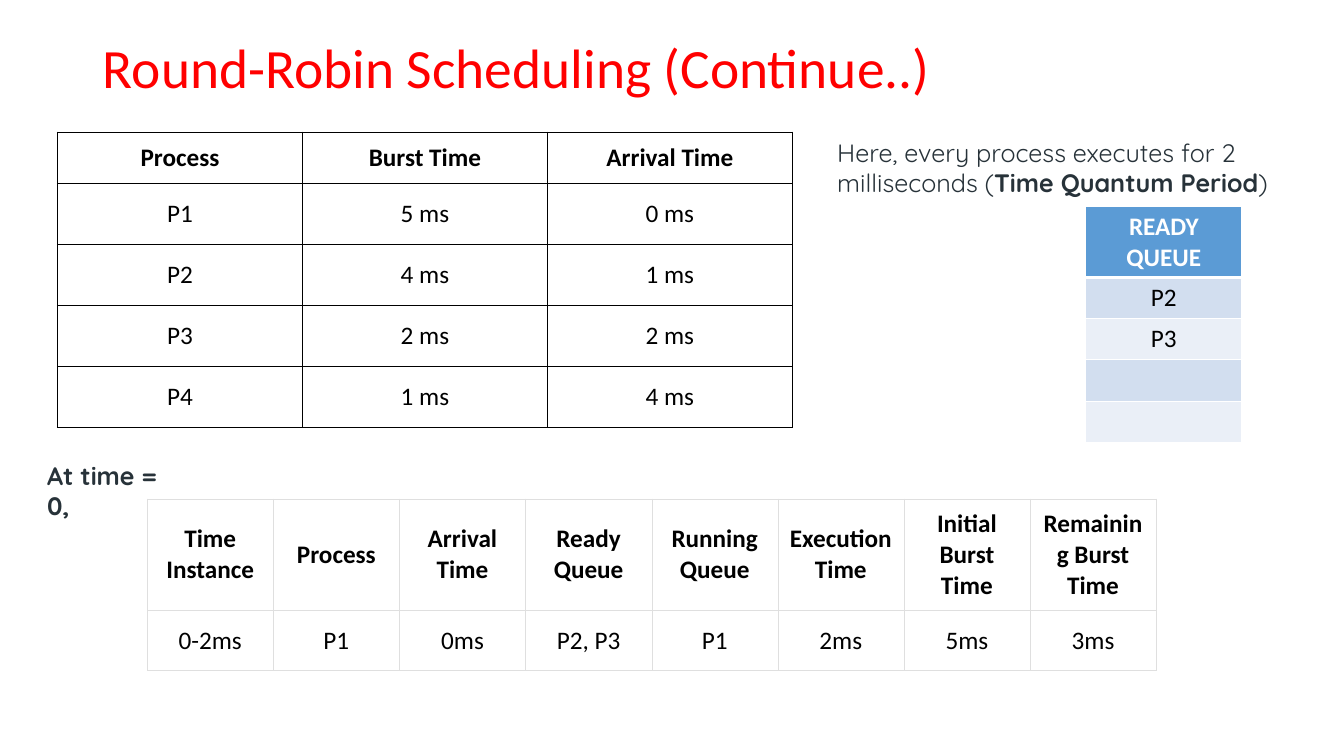
import pptx
import pptx.dml.color
import pptx.enum.text
import pptx.oxml.ns
import pptx.util
from lxml import etree

Cm = pptx.util.Cm
Pt = pptx.util.Pt
RGBColor = pptx.dml.color.RGBColor
PP_ALIGN = pptx.enum.text.PP_ALIGN
MSO_ANCHOR = pptx.enum.text.MSO_ANCHOR
MSO_AUTO_SIZE = pptx.enum.text.MSO_AUTO_SIZE

RED = RGBColor(0xFF, 0x00, 0x00)
BLACK = RGBColor(0x00, 0x00, 0x00)
WHITE = RGBColor(0xFF, 0xFF, 0xFF)
SLATE = RGBColor(0x27, 0x32, 0x39)
GREY = RGBColor(0xDF, 0xDF, 0xDF)
BLUE = RGBColor(0x5B, 0x9B, 0xD5)
BANDS = [RGBColor(0xD2, 0xDE, 0xEF), RGBColor(0xEA, 0xEF, 0xF7)]

TABLE_FONT = {"name": "Calibri", "size": Pt(18)}
NOTE_FONT = {"name": "Quicksand", "size": Pt(18)}

PROCESSES = [
    ["Process", "Burst Time", "Arrival Time"],
    ["P1", "5 ms", "0 ms"],
    ["P2", "4 ms", "1 ms"],
    ["P3", "2 ms", "2 ms"],
    ["P4", "1 ms", "4 ms"],
]
TIMELINE = [
    ["Time Instance", "Process", "Arrival Time", "Ready Queue",
     "Running Queue", "Execution Time", "Initial Burst Time",
     "Remaining Burst Time"],
    ["0-2ms", "P1", "0ms", "P2, P3", "P1", "2ms", "5ms", "3ms"],
]
READY_QUEUE = [["READY QUEUE"], ["P2"], ["P3"], [""], [""]]


def apply_format(target, values):
    for name, value in values.items():
        setattr(target, name, value)


def format_font(font, color, values):
    apply_format(font, values)
    font.color.rgb = color


def set_borders(cell, color, widths):
    """Draw the cell's sides; widths maps L, R, T and B to points."""
    properties = cell._tc.get_or_add_tcPr()
    for side, points in widths.items():
        line = etree.SubElement(properties, pptx.oxml.ns.qn(f"a:ln{side}"),
                                w=str(Pt(points)))
        fill = etree.SubElement(line, pptx.oxml.ns.qn("a:solidFill"))
        etree.SubElement(fill, pptx.oxml.ns.qn("a:srgbClr"), val=str(color))


def format_cell(cell, text, fill, color, bold, values):
    apply_format(cell, values)
    cell.fill.solid()
    cell.fill.fore_color.rgb = fill
    paragraph = cell.text_frame.paragraphs[0]
    paragraph.alignment = PP_ALIGN.CENTER
    if text:
        run = paragraph.add_run()
        run.text = text
        format_font(run.font, color, {**TABLE_FONT, "bold": bold})


def add_table(slide, rows, left, top, width, heights):
    shape = slide.shapes.add_table(len(rows), len(rows[0]), left, top,
                                   width, sum(heights))
    for row, height in zip(shape.table.rows, heights):
        row.height = height
    return shape.table


def add_plain_table(slide, rows, left, top, width, heights, color, points):
    """White table with a ruled grid and a bold header row."""
    table = add_table(slide, rows, left, top, width, heights)
    for i, texts in enumerate(rows):
        margin = Cm(0.25) if i == 0 else Cm(0.38)
        for j, text in enumerate(texts):
            side = Cm(0.1) if i == j == 0 else Cm(0.25)
            cell = table.cell(i, j)
            set_borders(cell, color, dict.fromkeys("LRTB", points))
            format_cell(cell, text, WHITE, BLACK, i == 0, {
                "vertical_anchor": MSO_ANCHOR.MIDDLE,
                "margin_left": side, "margin_right": side,
                "margin_top": margin, "margin_bottom": margin})


def add_queue_table(slide, rows, left, top, width, heights):
    """Banded one-column table with a thick rule below the header."""
    table = add_table(slide, rows, left, top, width, heights)
    for i, (text,) in enumerate(rows):
        header = i == 0
        cell = table.cell(i, 0)
        set_borders(cell, WHITE, {"L": 1, "R": 1, "T": 3 if i == 1 else 1,
                                  "B": 3 if header else 1})
        format_cell(cell, text, BLUE if header else BANDS[(i - 1) % 2],
                    WHITE if header else BLACK, header, {})


def add_note(slide, left, top, width, height, runs):
    """Text box whose runs are (text, bold) pairs."""
    text_frame = slide.shapes.add_textbox(left, top, width, height).text_frame
    text_frame.word_wrap = True
    for text, bold in runs:
        run = text_frame.paragraphs[0].add_run()
        run.text = text
        format_font(run.font, SLATE, {**NOTE_FONT, "bold": bold})


def set_title(slide, text):
    title = slide.shapes.title
    apply_format(title, {"left": Cm(2.34), "top": Cm(1.02),
                         "width": Cm(29.21), "height": Cm(1.5)})
    apply_format(title.text_frame, {"text": text, "word_wrap": True,
                                    "auto_size": MSO_AUTO_SIZE.NONE,
                                    "vertical_anchor": MSO_ANCHOR.MIDDLE})
    paragraph = title.text_frame.paragraphs[0]
    apply_format(paragraph, {"alignment": PP_ALIGN.LEFT, "line_spacing": 0.9})
    format_font(paragraph.runs[0].font, RED,
                {"name": "Calibri", "size": Pt(39.6)})


def main():
    presentation = pptx.Presentation()
    presentation.slide_width = Cm(33.87)
    presentation.slide_height = Cm(19.05)
    slide = presentation.slides.add_slide(presentation.slide_layouts[5])

    set_title(slide, "Round-Robin Scheduling (Continue..)")

    # Processes and the time quantum
    add_plain_table(slide, PROCESSES, Cm(1.45), Cm(3.33), Cm(18.52),
                    [Cm(1.3)] + [Cm(1.52)] * 4, BLACK, 1)
    add_note(slide, Cm(20.85), Cm(3.33), Cm(13), Cm(1.8), [
        ("Here, every process executes for 2 milliseconds (", False),
        ("Time Quantum Period", True),
        (")", False)])

    # State at the first time instance
    add_note(slide, Cm(0.94), Cm(11.48), Cm(3.96), Cm(1.02),
             [("At time = 0,", True)])
    add_plain_table(slide, TIMELINE, Cm(3.71), Cm(12.57), Cm(25.43),
                    [Cm(2.8), Cm(1.52)], GREY, 0.23)

    # Ready queue
    add_queue_table(slide, READY_QUEUE, Cm(27.36), Cm(5.21), Cm(3.94),
                    [Cm(1.73)] + [Cm(1.04)] * 4)

    presentation.save("out.pptx")


if __name__ == "__main__":
    main()
